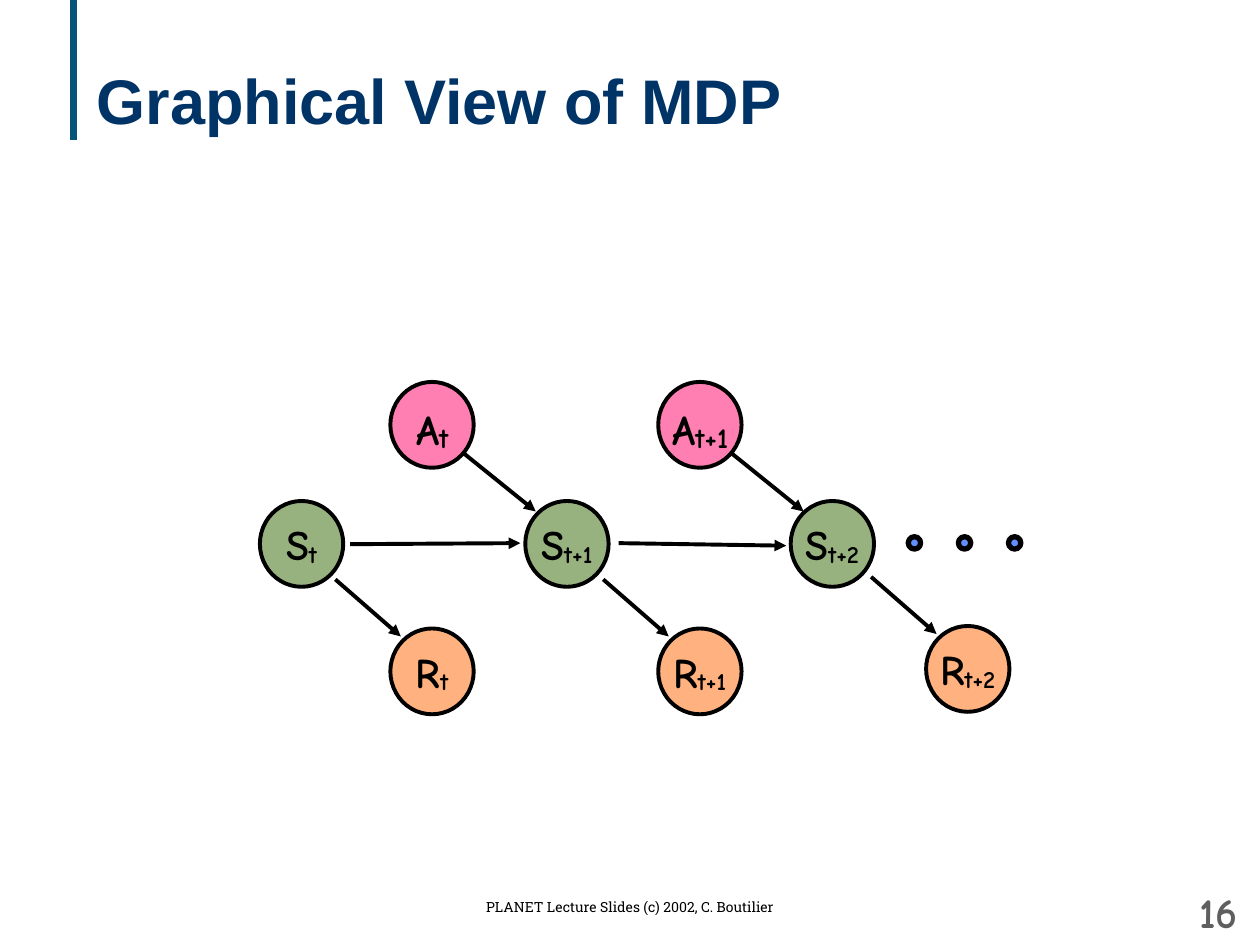
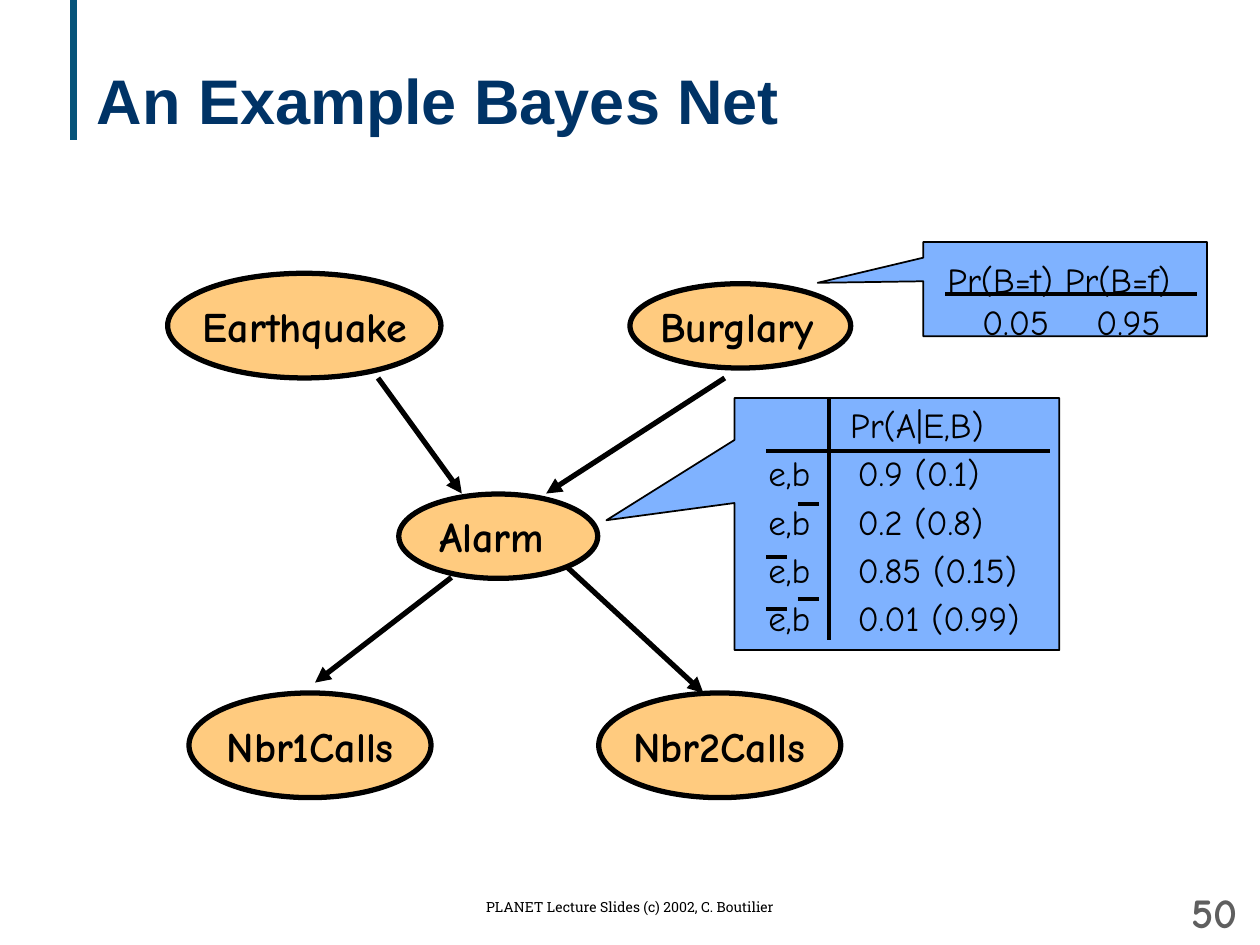
from pptx import Presentation
from pptx.dml.color import RGBColor
from pptx.enum.shapes import MSO_CONNECTOR, MSO_SHAPE
from pptx.enum.text import MSO_ANCHOR, PP_ALIGN
from pptx.oxml.ns import qn
from pptx.util import Cm, Pt
from lxml.etree import SubElement

BLACK = "000000"
TITLE_BLUE = "003366"
BAR_TEAL = "07547A"
NUMBER_GRAY = "5F5F5F"
STATE_GREEN = "336600"
ACTION_PINK = "FF0066"
REWARD_ORANGE = "FF6600"
EVENT_ORANGE = "FF9900"
CALLOUT_BLUE = "0066FF"
DOT_BLUE = "618FFD"
HAND_FONT = "Comic Neue"


def color(value):
    return RGBColor.from_string(value)


class Deck:
    def __init__(self):
        self.presentation = Presentation()
        self.presentation.slide_width = Cm(25.4)
        self.presentation.slide_height = Cm(19.05)
        self.slide = None

    def new_slide(self, title, number):
        layout = self.presentation.slide_layouts[6]
        self.slide = self.presentation.slides.add_slide(layout)
        self.line((1.48, 0), (1.48, 2.82), 4, line_color=BAR_TEAL)
        self.text((1.7, 0.42, 22.66, 3.18), [title], 36, "Arial", TITLE_BLUE,
                  bold=True, anchor=MSO_ANCHOR.MIDDLE)
        self.text((6.99, 17.98, 11.43, 0.64),
                  ["PLANET Lecture Slides (c) 2002, C. Boutilier"], 8,
                  "Roboto Slab", align=PP_ALIGN.CENTER)
        self.text((23.37, 17.86, 1.83, 1.02), [str(number)], 24,
                  text_color=NUMBER_GRAY, bold=True,
                  align=PP_ALIGN.RIGHT, anchor=MSO_ANCHOR.MIDDLE)

    def style(self, paragraph, size, font=HAND_FONT, text_color=BLACK, bold=False):
        paragraph.font.size = Pt(size)
        paragraph.font.name = font
        paragraph.font.bold = bold
        paragraph.font.color.rgb = color(text_color)

    def text(self, box, lines, size, font=HAND_FONT, text_color=BLACK, bold=False,
             align=PP_ALIGN.LEFT, anchor=MSO_ANCHOR.TOP, spacing=None, tabs=()):
        shape = self.slide.shapes.add_textbox(*map(Cm, box))
        frame = shape.text_frame
        frame.word_wrap = True
        frame.vertical_anchor = anchor
        for index, line in enumerate(lines):
            paragraph = frame.add_paragraph() if index else frame.paragraphs[0]
            paragraph.text = line
            if tabs:
                self.tab_stops(paragraph, tabs[index])
            paragraph.alignment = align
            if spacing:
                paragraph.line_spacing = spacing
            self.style(paragraph, size, font, text_color, bold)

    def tab_stops(self, paragraph, positions):
        tab_list = SubElement(paragraph._p.get_or_add_pPr(), qn("a:tabLst"))
        for position in positions:
            SubElement(tab_list, qn("a:tab"), pos=str(Cm(position)), algn="l")

    def indexed(self, shape, letter, subscript, subscript_size=24):
        frame = shape.text_frame
        frame.word_wrap = False
        paragraph = frame.paragraphs[0]
        paragraph.alignment = PP_ALIGN.CENTER
        self.style(paragraph, 24, bold=True)
        paragraph.add_run().text = letter
        run = paragraph.add_run()
        run.text = subscript
        run.font.size = Pt(subscript_size)
        run._r.get_or_add_rPr().set("baseline", "-6000")

    def shape(self, box, fill, line_width, kind=MSO_SHAPE.OVAL, see_through=True):
        shape = self.slide.shapes.add_shape(kind, *map(Cm, box))
        shape.shadow.inherit = False
        shape.fill.solid()
        shape.fill.fore_color.rgb = color(fill)
        if see_through:
            rgb = shape._element.spPr.find(qn("a:solidFill")).find(qn("a:srgbClr"))
            SubElement(rgb, qn("a:alpha"), val="50000")
        shape.line.color.rgb = color(BLACK)
        shape.line.width = Pt(line_width)
        shape.text_frame.vertical_anchor = MSO_ANCHOR.MIDDLE
        return shape

    def callout(self, box, tip):
        shape = self.shape(box, CALLOUT_BLUE, 1, MSO_SHAPE.RECTANGULAR_CALLOUT)
        shape.rotation = 90
        shape.adjustments[0], shape.adjustments[1] = tip

    def line(self, start, end, width=2.25, arrow=False, line_color=BLACK):
        connector = self.slide.shapes.add_connector(
            MSO_CONNECTOR.STRAIGHT, *map(Cm, start + end))
        connector.line.color.rgb = color(line_color)
        connector.line.width = Pt(width)
        if arrow:
            SubElement(connector.line._get_or_add_ln(), qn("a:tailEnd"), type="triangle")
        SubElement(connector._element.spPr, qn("a:effectLst"))


def build_mdp(deck):
    deck.new_slide("Graphical View of MDP", 16)
    node_size = (1.68, 1.73)
    step = 5.4
    subscripts = ["t", "t+1", "t+2"]

    for index, subscript in enumerate(subscripts):
        shift = index * step
        state = deck.shape((5.24 + index * 5.35, 10.1, *node_size), STATE_GREEN, 2.25)
        deck.indexed(state, "S", subscript)
        lift = 0.05 if index == 2 else 0
        reward = deck.shape((7.87 + shift, 12.67 - lift, *node_size), REWARD_ORANGE, 2.25)
        deck.indexed(reward, "R", subscript)
        deck.line((6.76 + shift, 11.68 - lift), (8.08 + shift, 12.83 - lift), arrow=True)

    for index, subscript in enumerate(subscripts[:2]):
        shift = index * step
        deck.shape((7.87 + shift, 7.7, *node_size), ACTION_PINK, 2.25)
        label = deck.slide.shapes.add_textbox(
            Cm(7.9 + shift), Cm(7.87), Cm(1.63), Cm(1.45))
        deck.indexed(label, "A", subscript, 28)
        deck.line((9.35 + shift, 9.14), (10.8 + shift, 10.31), arrow=True)

    deck.line((7.06, 10.97), (10.49, 10.95), arrow=True)
    deck.line((12.47, 10.95), (15.85, 11), arrow=True)
    for index in range(3):
        deck.shape((18.31 + index * 1.01, 10.82, 0.25, 0.25), DOT_BLUE, 3,
                   see_through=False)


def build_bayes_net(deck):
    deck.new_slide("An Example Bayes Net", 50)
    deck.callout((20.52, 2.97, 1.9, 5.72), (-0.067, 0.872))
    deck.callout((15.54, 7.29, 5.08, 6.55), (-0.015, 0.894))

    events = [
        ("Earthquake", (3.38, 5.51, 5.51, 2.11), 3.84),
        ("Burglary", (12.7, 5.72, 4.45, 1.7), 13.06),
        ("Alarm", (8.04, 9.96, 4.01, 1.7), 8.61),
        ("Nbr2Calls", (12.07, 13.97, 4.88, 2.11), 12.52),
        ("Nbr1Calls", (3.81, 13.97, 4.88, 2.11), 4.32),
    ]
    label_height = 1.27
    for name, box, label_left in events:
        left, top, width, height = box
        deck.shape(box, EVENT_ORANGE, 3)
        label_top = top + (height - label_height) / 2
        label_width = left + width - label_left
        deck.text((label_left, label_top, label_width, label_height), [name], 24,
                  bold=True)

    deck.text((18.85, 5.08, 5.49, 1.96), ["Pr(B=t) Pr(B=f)", "\t0.05\t0.95"], 20,
              tabs=[(), (0.7, 3)])
    alarm_rows = ["0.9 (0.1)", "0.2 (0.8)", "0.85 (0.15)", "0.01 (0.99)"]
    deck.text((15.24, 7.88, 6.15, 6.1),
              ["\tPr(A|E,B)"] + [f"e,b\t{row}" for row in alarm_rows], 20,
              spacing=1.15, tabs=[(1.65,)] + [(1.8,)] * len(alarm_rows))

    deck.line((15.45, 9.1), (21.17, 9.1))
    deck.line((16.72, 8.04), (16.72, 12.91))
    deck.line((19.05, 5.93), (24.13, 5.93))
    for left, top in [(16.08, 10.16), (15.45, 11.22), (15.45, 12.28), (16.08, 12.07)]:
        deck.line((left, top), (left + 0.42, top))

    influences = [
        ((7.62, 7.62), (9.31, 9.95)),
        ((14.61, 7.62), (11.01, 9.95)),
        ((9.1, 11.64), (6.35, 13.76)),
        ((11.43, 11.43), (14.18, 13.97)),
    ]
    for start, end in influences:
        deck.line(start, end, 3, arrow=True)


def main():
    deck = Deck()
    build_mdp(deck)
    build_bayes_net(deck)
    deck.presentation.save("out.pptx")


if __name__ == "__main__":
    main()
